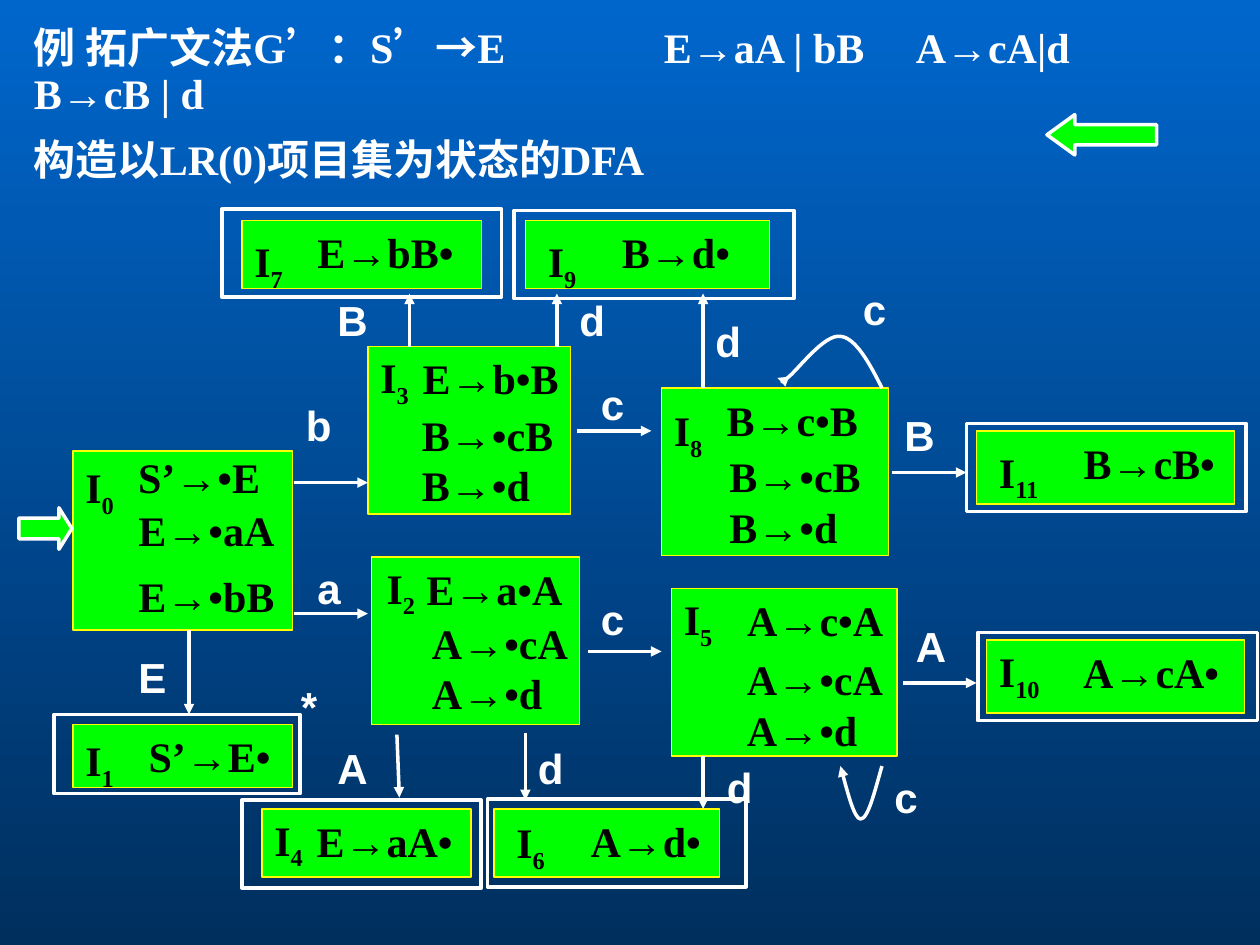
from lxml.etree import SubElement
from pptx import Presentation
from pptx.dml.color import RGBColor
from pptx.enum.shapes import MSO_CONNECTOR, MSO_SHAPE
from pptx.enum.text import MSO_ANCHOR, PP_ALIGN
from pptx.oxml.ns import qn
from pptx.util import Inches, Pt

COLORS = {"top": "0066CC", "bottom": "002F5E", "state": "00FF00",
          "edge": "FFFF00", "white": "FFFFFF", "black": "000000"}
SERIF, SANS = "Times New Roman", "Arial"
SPACE = 1 / 12

STATES = [
    (0, (0.58, 3.58, 1.74, 1.42), "S’→•E", 5, (0.58, 3.62)),
    (1, (0.58, 5.75, 1.74, 0.5), "S’→E•", 6, (0.58, 5.79)),
    (2, (2.95, 4.42, 1.65, 1.33), "E→a•A", 4, (2.97, 4.42)),
    (3, (2.92, 2.75, 1.61, 1.33), "E→b•B", 4, (2.92, 2.75)),
    (4, (2.08, 6.42, 1.66, 0.54), "E→aA•", 4, (2.08, 6.42)),
    (5, (5.33, 4.67, 1.79, 1.33), "A→c•A", 6, (5.33, 4.67)),
    (6, (3.92, 6.42, 1.79, 0.54), "A→d•", 8, (4, 6.44)),
    (7, (1.92, 1.75, 1.9, 0.54), "E→bB•", 6, (1.92, 1.83)),
    (8, (5.25, 3.08, 1.8, 1.33), "B→c•B", 5, (5.25, 3.17)),
    (9, (4.17, 1.75, 1.94, 0.54), "B→d•", 8, (4.25, 1.83)),
    (10, (7.83, 5.08, 2.05, 0.58), "A→cA•", 8, (7.83, 5.08)),
    (11, (7.75, 3.42, 2.05, 0.58), "B→cB•", 9, (7.83, 3.5)),
]
CLOSURES = [
    ((3.33, 4.85, 1.5, 0.9), "A"),
    ((3.25, 3.2, 1.33, 0.9), "B"),
    ((5.83, 5.14, 1.33, 0.9), "A"),
    ((5.69, 3.53, 1.33, 0.9), "B"),
]
MOVES = [
    ("a", (2.42, 4.46), (2.33, 4.87), (2.92, 4.87)),
    ("E", (1, 5.17), (1.5, 5), (1.5, 5.67)),
    ("b", (2.33, 3.17), (2.33, 3.83), (2.92, 3.83)),
    ("c", (4.67, 4.71), (4.67, 5.17), (5.25, 5.17)),
    ("A", (2.58, 5.89), (3.15, 5.83), (3.17, 6.33)),
    ("c", (4.67, 3), (4.58, 3.42), (5.17, 3.42)),
    ("A", (7.17, 4.92), (7.17, 5.42), (7.75, 5.42)),
    ("B", (7.08, 3.25), (7.08, 3.75), (7.67, 3.75)),
    ("d", (4.17, 5.89), (4.17, 5.82), (4.17, 6.35)),
    ("d", (5.67, 6.04), (5.58, 6), (5.58, 6.42)),
    ("d", (4.5, 2.33), (4.42, 2.75), (4.42, 2.33)),
    ("B", (2.58, 2.33), (3.25, 2.75), (3.25, 2.33)),
    ("d", (5.58, 2.5), (5.58, 3.08), (5.58, 2.33)),
]
LOOPS = [
    ("c", (7, 6.12), [(7, 6.08), (6.94, 6.29), (6.89, 6.5), (6.83, 6.5),
                      (6.78, 6.5), (6.69, 6.15), (6.67, 6.08)]),
    ("c", (6.75, 2.25), [(7, 3.08), (6.9, 2.88), (6.79, 2.68), (6.67, 2.67),
                         (6.54, 2.65), (6.33, 2.94), (6.25, 3),
                         (6.17, 3.06), (6.17, 3.03), (6.17, 3)]),
]
FRAMES = [
    (7.67, 3.36, 2.22, 0.7), (7.76, 5.02, 2.22, 0.7), (4.08, 1.67, 2.22, 0.7),
    (1.76, 1.66, 2.22, 0.7), (3.87, 6.34, 2.05, 0.7), (1.92, 6.35, 1.9, 0.7),
    (0.43, 5.67, 1.95, 0.63),
]


def rgb(name):
    return RGBColor.from_string(COLORS[name])


class Board:
    """Draws the parts of an automaton on one slide in a shared style."""

    def __init__(self, s):
        self.s = s

    def background(self):
        fill = self.s.background.fill
        fill.gradient()
        fill.gradient_angle = 270
        for stop, name, position in zip(fill.gradient_stops, ("top", "bottom"), (0, 1)):
            stop.color.rgb = rgb(name)
            stop.position = position

    def run(self, p, text, color, font):
        r = p.add_run()
        r.text = text
        r.font.size, r.font.bold, r.font.name = Pt(24), True, font
        r.font.color.rgb = rgb(color)
        return r

    def paragraphs(self, tf, lines, color="black", font=SERIF, spacing=0.9):
        tf.vertical_anchor = MSO_ANCHOR.TOP
        for i, line in enumerate(lines):
            p = tf.add_paragraph() if i else tf.paragraphs[0]
            p.alignment, p.line_spacing = PP_ALIGN.LEFT, spacing
            if i:
                p.space_before = Pt(12)
            for j, part in enumerate(line.split("\n")):
                if j:
                    p.add_line_break()
                self.run(p, part, color, font)

    def text(self, box, lines, wrap=True, **style):
        tf = self.s.shapes.add_textbox(*map(Inches, box)).text_frame
        tf.word_wrap = wrap
        self.paragraphs(tf, lines, **style)
        return tf

    def symbol(self, text, at, width=0.5):
        self.text((*at, width, 0.46), [text], color="white", font=SANS)

    def shape(self, kind, box, fill="state", line="white", weight=2):
        sp = self.s.shapes.add_shape(kind, *map(Inches, box))
        sp.shadow.inherit = False
        if fill:
            sp.fill.solid()
            sp.fill.fore_color.rgb = rgb(fill)
        else:
            sp.fill.background()
        sp.line.color.rgb, sp.line.width = rgb(line), Pt(weight)
        return sp

    def state(self, number, box, item, spaces):
        sp = self.shape(MSO_SHAPE.RECTANGLE, box, line="edge", weight=0.75)
        tf = sp.text_frame
        tf.word_wrap = True
        tf.margin_left, tf.margin_right = Inches(0.1 + spaces * SPACE), 0
        self.paragraphs(tf, [item], spacing=1.0 if number else 0.9)

    def name(self, number, at):
        width = 0.55 if number > 9 else 0.44
        tf = self.text((*at, width, 0.46), ["I"], wrap=False)
        r = self.run(tf.paragraphs[0], str(number), "black", SERIF)
        r.font._element.set("baseline", "-25000")

    def arrowhead(self, sp):
        sp.line.color.rgb, sp.line.width = rgb("white"), Pt(2)
        spPr = sp.element.spPr
        SubElement(spPr.find(qn("a:ln")), qn("a:tailEnd"), type="triangle")
        if spPr.find(qn("a:effectLst")) is None:
            SubElement(spPr, qn("a:effectLst"))

    def arrow(self, start, end):
        self.arrowhead(self.s.shapes.add_connector(
            MSO_CONNECTOR.STRAIGHT, *map(Inches, start + end)))

    def curve(self, points):
        start, *rest = [tuple(map(Inches, pt)) for pt in points]
        fb = self.s.shapes.build_freeform(*start)
        fb.add_line_segments(rest, close=False)
        sp = fb.convert_to_shape()
        sp.shadow.inherit = False
        sp.fill.background()
        outline = next(sp.element.iter(qn("a:lnTo"))).getparent()
        segments = outline.findall(qn("a:lnTo"))
        for i in range(0, len(segments), 3):
            bezier = SubElement(outline, qn("a:cubicBezTo"))
            for segment in segments[i:i + 3]:
                bezier.append(segment[0])
                outline.remove(segment)
        self.arrowhead(sp)

    def title(self):
        tf = self.text((0.17, 0.17, 9.67, 1.02), [
            "例 拓广文法G’：S’→E\tE→aA | bB\tA→cA|d\tB→cB | d",
            "构造以LR(0)项目集为状态的DFA"], color="white")
        tabs = SubElement(tf.paragraphs[0]._p.get_or_add_pPr(), qn("a:tabLst"))
        for stop in (5, 7, 9):
            SubElement(tabs, qn("a:tab"), pos=str(Inches(stop)), algn="l")


def main():
    prs = Presentation()
    prs.slide_width, prs.slide_height = Inches(10), Inches(7.5)
    board = Board(prs.slides.add_slide(prs.slide_layouts[6]))
    board.background()
    board.title()
    for number, box, item, spaces, _ in STATES:
        board.state(number, box, item, spaces)
    for text, at, start, end in MOVES:
        board.arrow(start, end)
        board.symbol(text, at)
    for text, at, points in LOOPS:
        board.curve(points)
        board.symbol(text, at)
    board.text((1, 4, 1.33, 1.02), ["E→•aA", "E→•bB"])
    for number, *_, at in STATES:
        board.name(number, at)
    for box, v in CLOSURES:
        board.text(box, [f"{v}→•c{v}\n{v}→•d"], spacing=1.0)
    back = board.shape(MSO_SHAPE.LEFT_ARROW, (8.31, 0.91, 0.87, 0.32))
    back.adjustments[1] = 0.69
    entry = board.shape(MSO_SHAPE.RIGHT_ARROW, (0.15, 4.03, 0.42, 0.33))
    entry.adjustments[1] = 0.31
    for box in FRAMES:
        board.shape(MSO_SHAPE.RECTANGLE, box, fill=None)
    board.symbol("*", (2.29, 5.4), 0.28)
    prs.save("out.pptx")


if __name__ == "__main__":
    main()
